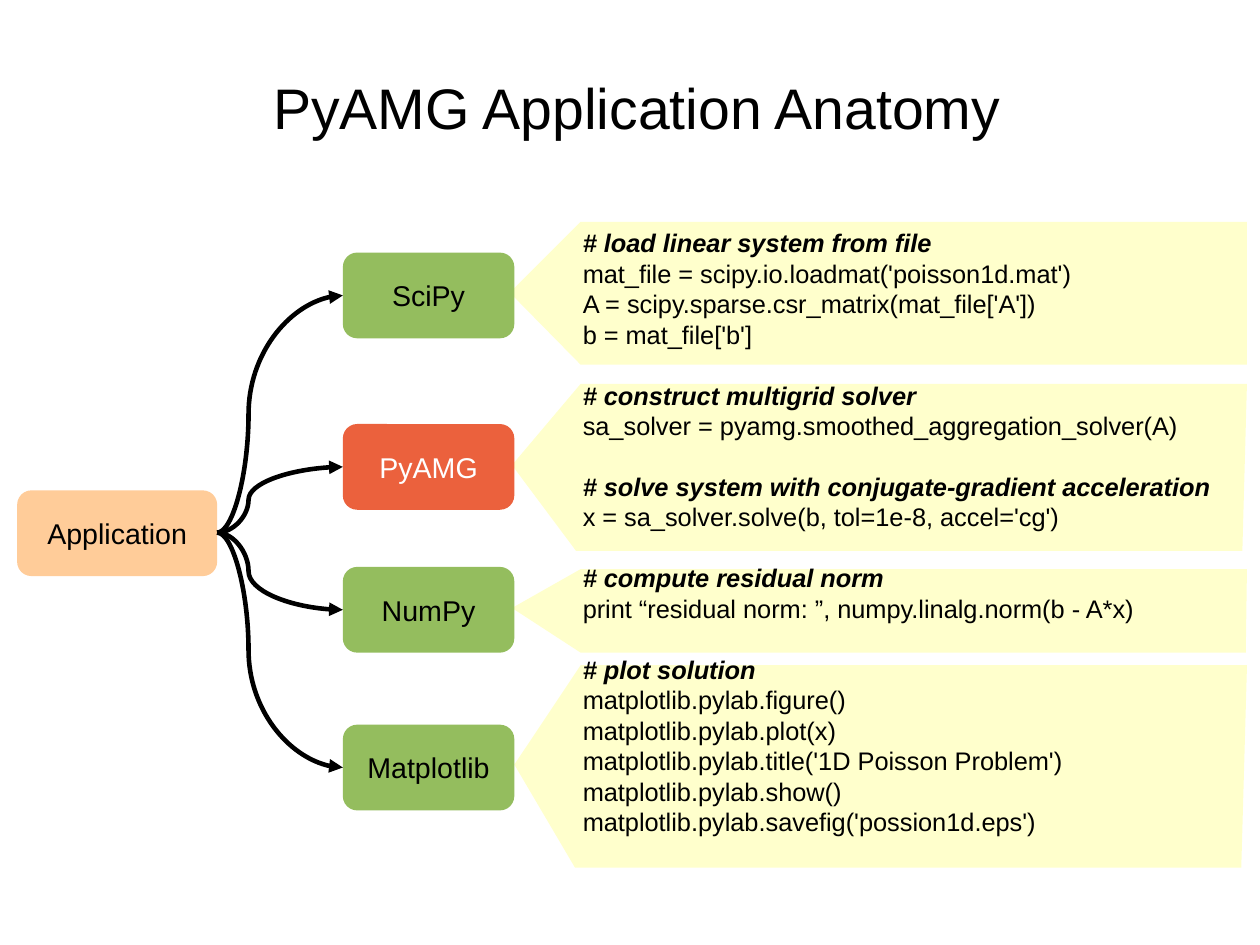
from dataclasses import dataclass

from lxml import etree
from pptx import Presentation
from pptx.dml.color import RGBColor
from pptx.enum.shapes import MSO_CONNECTOR, MSO_SHAPE
from pptx.enum.text import PP_ALIGN, MSO_ANCHOR
from pptx.oxml.ns import qn
from pptx.util import Inches, Pt

CM_PER_INCH = 2.54
FONT = "Arial"
BLACK, WHITE = "000000", "FFFFFF"
GREEN, RED, PEACH, CREAM = "94BD5E", "EB613D", "FFCC99", "FFFFCC"
BOX_HEIGHT = 0.75
LIBRARY_LEFT, LIBRARY_WIDTH = 3, 1.5
CALLOUT_SHOULDER, CALLOUT_RIGHT = 5.08, 10.91


@dataclass
class Callout:
    """Pale panel whose left tip points at a library box."""
    top: float
    bottom: float
    tip_x: float
    tip_y: float
    bottom_left: float
    bottom_right: float


@dataclass
class Library:
    name: str
    top: float
    fill: str
    font_color: str
    callout: Callout
    code: list[str]


LIBRARIES = [
    Library("SciPy", 2.21, GREEN, BLACK, Callout(1.94, 3.19, 4.46, 2.56, 5.08, 10.91), [
        "# load linear system from file",
        "mat_file = scipy.io.loadmat('poisson1d.mat')",
        "A = scipy.sparse.csr_matrix(mat_file['A'])",
        "b = mat_file['b']",
    ]),
    Library("PyAMG", 3.71, RED, WHITE, Callout(3.36, 4.82, 4.48, 4.07, 5.04, 10.87), [
        "# construct multigrid solver",
        "sa_solver = pyamg.smoothed_aggregation_solver(A)",
        "# solve system with conjugate-gradient acceleration",
        "x = sa_solver.solve(b, tol=1e-8, accel='cg')",
    ]),
    Library("NumPy", 4.96, GREEN, BLACK, Callout(4.98, 5.71, 4.48, 5.32, 5.08, 10.9), [
        "# compute residual norm",
        "print “residual norm: ”, numpy.linalg.norm(b - A*x)",
    ]),
    Library("Matplotlib", 6.34, GREEN, BLACK, Callout(5.82, 7.59, 4.5, 6.69, 5.03, 10.86), [
        "# plot solution",
        "matplotlib.pylab.figure()",
        "matplotlib.pylab.plot(x)",
        "matplotlib.pylab.title('1D Poisson Problem')",
        "matplotlib.pylab.show()",
        "matplotlib.pylab.savefig('possion1d.eps')",
    ]),
]


def rgb(color: str) -> RGBColor:
    return RGBColor.from_string(color)


def style_font(paragraph, size: float, color: str = BLACK, emphasis: bool = False) -> None:
    for run in paragraph.runs:
        run.font.name = FONT
        run.font.size = Pt(size)
        run.font.color.rgb = rgb(color)
        run.font.bold = run.font.italic = emphasis


def paint_flat(shape, fill: str) -> None:
    """Solid fill without outline or shadow."""
    shape.fill.solid()
    shape.fill.fore_color.rgb = rgb(fill)
    shape.line.fill.background()
    shape.shadow.inherit = False


def add_callout(slide, callout: Callout) -> None:
    corners = [
        (callout.tip_x, callout.tip_y),
        (CALLOUT_SHOULDER, callout.top),
        (CALLOUT_RIGHT, callout.top),
        (callout.bottom_right, callout.bottom),
    ]
    outline = slide.shapes.build_freeform(Inches(callout.bottom_left), Inches(callout.bottom))
    outline.add_line_segments([(Inches(x), Inches(y)) for x, y in corners], close=True)
    paint_flat(outline.convert_to_shape(), CREAM)


def add_box(slide, label: str, left: float, top: float, width: float,
            fill: str, font_color: str = BLACK) -> None:
    box = slide.shapes.add_shape(MSO_SHAPE.ROUNDED_RECTANGLE, Inches(left), Inches(top),
                                 Inches(width), Inches(BOX_HEIGHT))
    paint_flat(box, fill)
    box.text_frame.text = label
    box.text_frame.vertical_anchor = MSO_ANCHOR.MIDDLE
    caption = box.text_frame.paragraphs[0]
    caption.alignment = PP_ALIGN.CENTER
    style_font(caption, 18, font_color)


def add_code(slide) -> None:
    frame = slide.shapes.add_textbox(Inches(5), Inches(1.94), Inches(6.59), Inches(7.08)).text_frame
    frame.word_wrap = True
    frame.text = "\n".join(line for library in LIBRARIES for line in library.code)
    for index, paragraph in enumerate(frame.paragraphs):
        is_comment = paragraph.text.startswith("#")
        if is_comment and index:
            paragraph.space_before = Pt(19.2)
        style_font(paragraph, 16, emphasis=is_comment)


def add_curved_arrow(slide, start: tuple[float, float], end: tuple[float, float]) -> None:
    arrow = slide.shapes.add_connector(MSO_CONNECTOR.CURVE, *map(Inches, start + end))
    arrow.line.color.rgb = rgb(BLACK)
    arrow.line.width = Pt(2.89)
    properties = arrow._element.spPr
    etree.SubElement(properties.find(qn("a:ln")), qn("a:tailEnd"), type="triangle")
    etree.SubElement(properties, qn("a:effectLst"))
    bends = properties.find(qn("a:prstGeom")).get_or_add_avLst()
    etree.SubElement(bends, qn("a:gd"), name="adj1", fmla="val 25000")


def add_title(slide) -> None:
    frame = slide.shapes.add_textbox(Inches(2.29), Inches(0.58), Inches(6.61), Inches(0.72)).text_frame
    frame.word_wrap = False
    frame.text = "PyAMG Application Anatomy"
    style_font(frame.paragraphs[0], 36)


def main() -> None:
    presentation = Presentation()
    presentation.slide_width = Inches(28 / CM_PER_INCH)
    presentation.slide_height = Inches(21 / CM_PER_INCH)
    slide = presentation.slides.add_slide(presentation.slide_layouts[6])

    for library in LIBRARIES:
        add_callout(slide, library.callout)
    add_box(slide, "Application", 0.15, 4.29, 1.75, PEACH)
    for library in LIBRARIES:
        add_box(slide, library.name, LIBRARY_LEFT, library.top, LIBRARY_WIDTH,
                library.fill, library.font_color)
    add_code(slide)
    for library in LIBRARIES:
        add_curved_arrow(slide, (1.9, 4.66), (LIBRARY_LEFT, library.top + BOX_HEIGHT / 2))
    add_title(slide)
    presentation.save("out.pptx")


if __name__ == "__main__":
    main()
